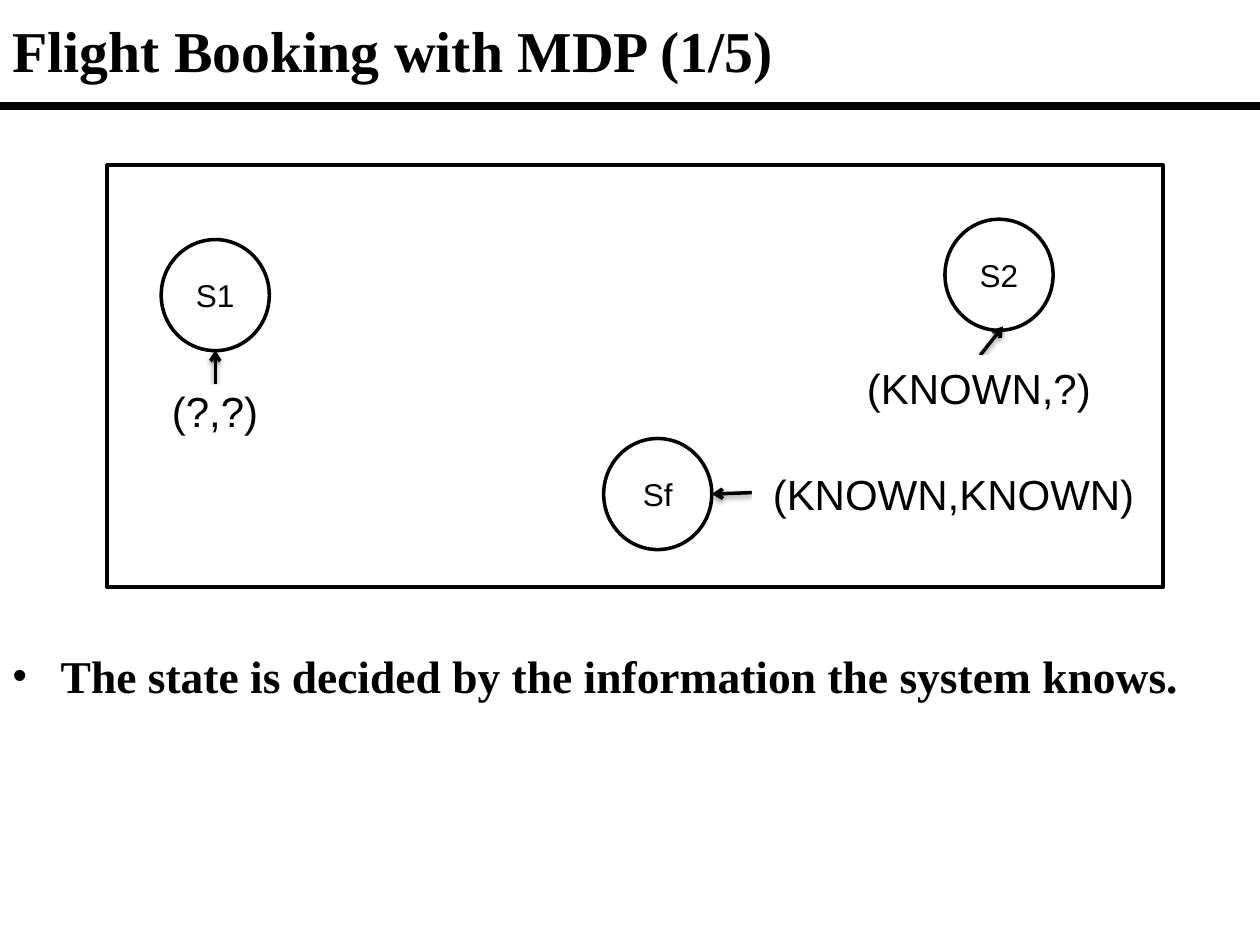
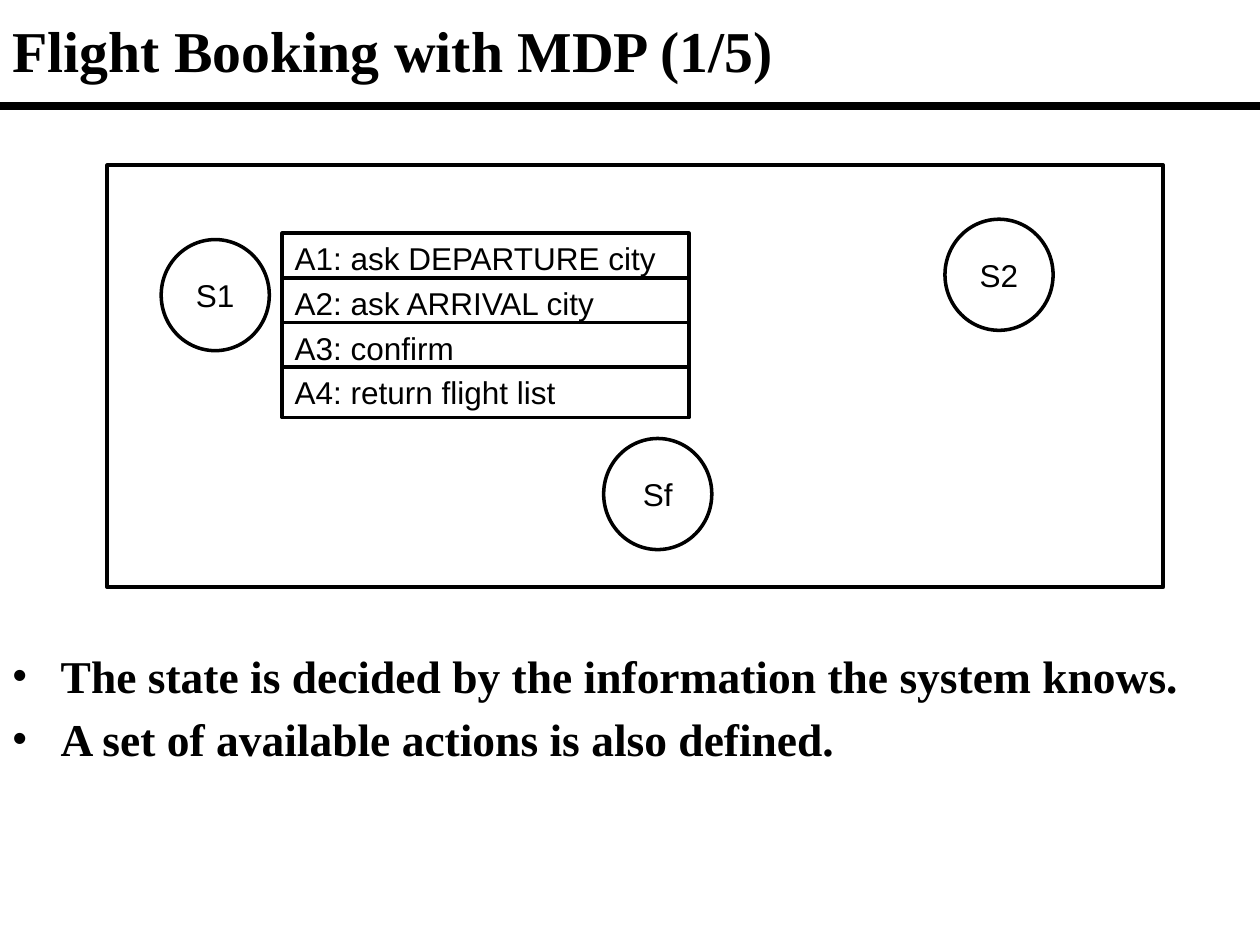
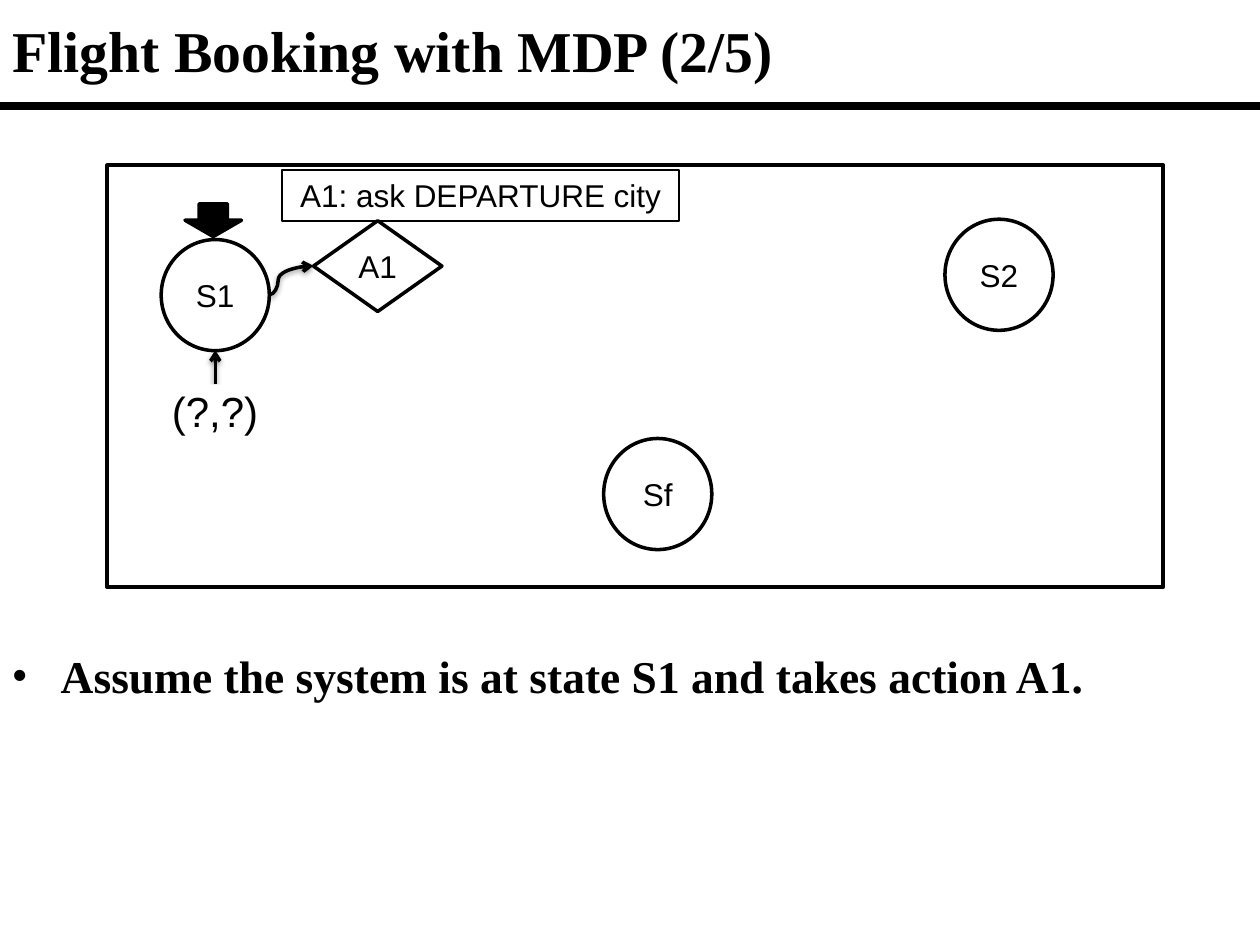
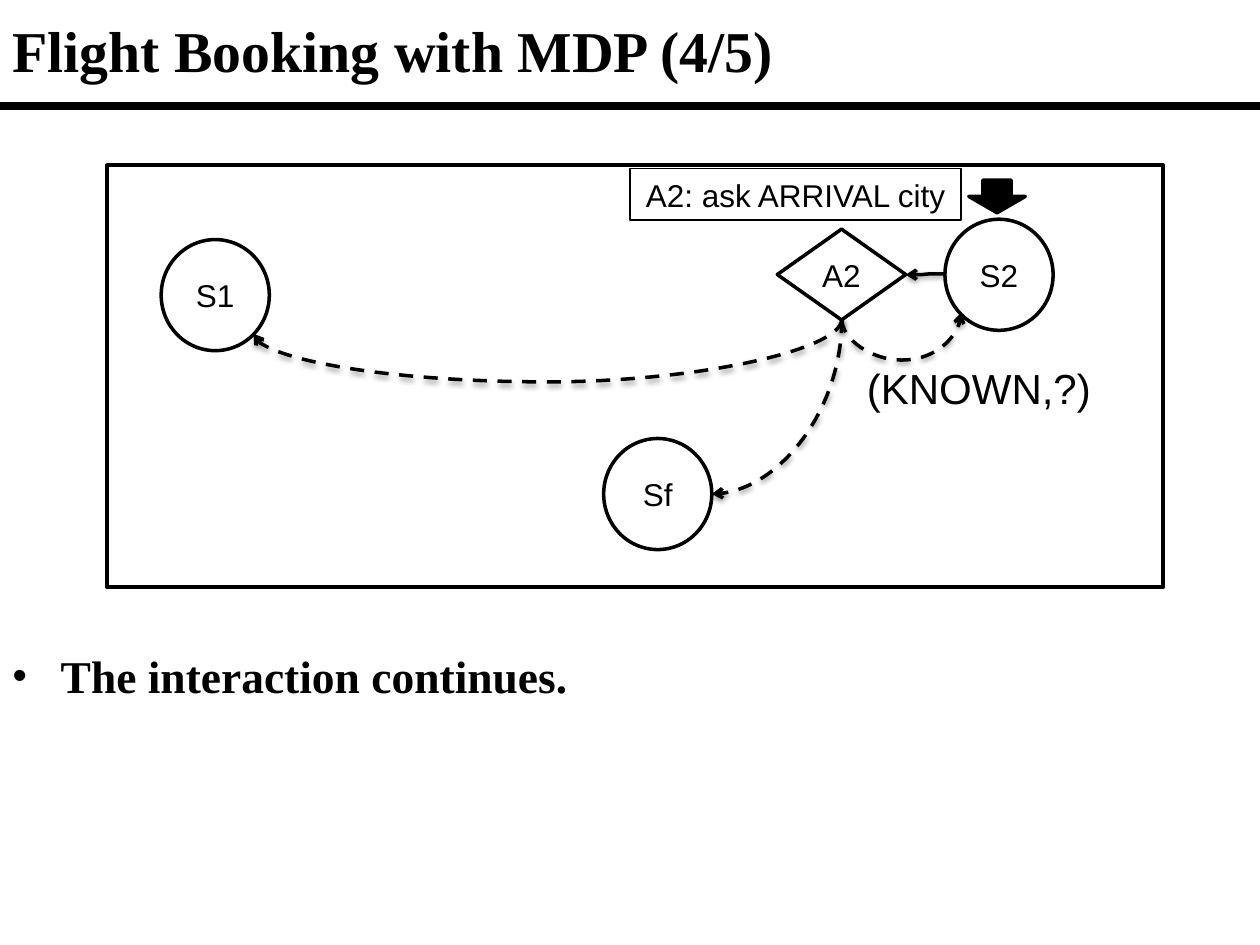
from dataclasses import dataclass, replace
from typing import Optional

import lxml.etree
import pptx
import pptx.dml.color
import pptx.enum.dml
import pptx.enum.shapes
import pptx.enum.text
import pptx.oxml.ns
import pptx.util

Cm = pptx.util.Cm
Pt = pptx.util.Pt
qn = pptx.oxml.ns.qn
ShapeKind = pptx.enum.shapes.MSO_SHAPE
ConnectorKind = pptx.enum.shapes.MSO_CONNECTOR
Align = pptx.enum.text.PP_ALIGN
Anchor = pptx.enum.text.MSO_ANCHOR
AutoSize = pptx.enum.text.MSO_AUTO_SIZE

# Shared style, lengths in centimetres
COLORS = {"ink": "000000", "paper": "FFFFFF"}
FONTS = {"heading": "Times New Roman", "diagram": "Arial"}
SLIDE_WIDTH, SLIDE_HEIGHT = 25.4, 19.05
TITLE_HEIGHT, RULE_TOP, BODY_TOP = 2.0, 2.13, 12.93
BULLET_INDENT = 0.97
CIRCLE_SIZE = (2.18, 2.24)
DIAMOND_SIZE = (2.59, 1.83)
MARKER_SIZE = (1.14, 0.66)

Point = tuple[float, float]


@dataclass(frozen=True)
class Box:
    left: float
    top: float
    width: float
    height: float
    text: str = ""
    kind: int = ShapeKind.RECTANGLE
    fill: str = "paper"
    line: Optional[float] = 2
    size: float = 18
    align: int = Align.CENTER
    grow: bool = False


@dataclass(frozen=True)
class Arrow:
    start: Point
    end: Point
    curved: bool = False
    vertical: bool = False          # a curve that leaves its start vertically
    bend: Optional[float] = None    # x (or y, if vertical) of the middle stretch
    dashed: bool = False


@dataclass(frozen=True)
class Page:
    title: str
    bullets: list[str]
    items: list[Box | Arrow]


def color(name: str) -> pptx.dml.color.RGBColor:
    return pptx.dml.color.RGBColor.from_string(COLORS[name])


def write_text(frame, text: str, *, font: str, size: float, bold: bool = False,
               align: int = Align.LEFT, anchor: int = Anchor.MIDDLE,
               grow: bool = False, bullet: str = "", space_before: float = 0) -> None:
    """Fill a text frame, one paragraph for each line of the text."""
    frame.text = text
    frame.word_wrap = True
    frame.vertical_anchor = anchor
    frame.auto_size = AutoSize.SHAPE_TO_FIT_TEXT if grow else AutoSize.NONE
    for paragraph in frame.paragraphs:
        paragraph.alignment = align
        paragraph.space_before = Pt(space_before)
        for run in paragraph.runs:
            run.font.name = FONTS[font]
            run.font.size = Pt(size)
            run.font.bold = bold
            run.font.color.rgb = color("ink")
        if bullet:
            properties = paragraph._p.get_or_add_pPr()
            properties.set("marL", str(Cm(BULLET_INDENT)))
            properties.set("indent", str(-Cm(BULLET_INDENT)))
            lxml.etree.SubElement(properties, qn("a:buSzPct"), val="90000")
            lxml.etree.SubElement(properties, qn("a:buChar"), char=bullet)


def place(shape, left: float, top: float, width: float, height: float) -> None:
    shape.left, shape.top = Cm(left), Cm(top)
    shape.width, shape.height = Cm(width), Cm(height)


def draw_box(slide, box: Box) -> None:
    shape = slide.shapes.add_shape(
        box.kind, Cm(box.left), Cm(box.top), Cm(box.width), Cm(box.height))
    shape.shadow.inherit = False
    shape.fill.solid()
    shape.fill.fore_color.rgb = color(box.fill)
    if box.line is None:
        shape.line.fill.background()
    else:
        shape.line.color.rgb = color("ink")
        shape.line.width = Pt(box.line)
    if box.text:
        write_text(shape.text_frame, box.text, font="diagram", size=box.size,
                   align=box.align, grow=box.grow)


def draw_line(slide, kind: int, start: Point, end: Point, width: float):
    connector = slide.shapes.add_connector(kind, *map(Cm, start + end))
    connector.line.color.rgb = color("ink")
    connector.line.width = Pt(width)
    effects = lxml.etree.SubElement(connector.element.spPr, qn("a:effectLst"))
    return connector, effects


def draw_arrow(slide, arrow: Arrow) -> None:
    start, end = arrow.start, arrow.end
    if arrow.vertical:
        # Ends before the quarter turn about the centre
        (x0, y0), (x1, y1) = start, end
        center_x, center_y = (x0 + x1) / 2, (y0 + y1) / 2
        half_x, half_y = (y1 - y0) / 2, (x0 - x1) / 2
        start = (center_x - half_x, center_y - half_y)
        end = (center_x + half_x, center_y + half_y)
    kind = ConnectorKind.CURVE if arrow.curved else ConnectorKind.STRAIGHT
    connector, effects = draw_line(slide, kind, start, end, 2)
    properties = connector.element.spPr
    if arrow.vertical:
        properties.find(qn("a:xfrm")).set("rot", "5400000")
    if arrow.curved:
        geometry = properties.find(qn("a:prstGeom"))
        if arrow.bend is None:
            geometry.set("prst", "curvedConnector2")
        else:
            axis = 1 if arrow.vertical else 0
            first, last = arrow.start[axis], arrow.end[axis]
            share = round((arrow.bend - first) / (last - first) * 100000)
            lxml.etree.SubElement(geometry.find(qn("a:avLst")), qn("a:gd"),
                                  name="adj1", fmla=f"val {share}")
    if arrow.dashed:
        connector.line.dash_style = pptx.enum.dml.MSO_LINE.DASH
    lxml.etree.SubElement(properties.find(qn("a:ln")), qn("a:tailEnd"), type="arrow")
    shadow = lxml.etree.SubElement(
        effects, qn("a:outerShdw"), blurRad=str(Pt(3.1)), dist=str(Pt(1.6)),
        dir="5400000", rotWithShape="0")
    shade = lxml.etree.SubElement(shadow, qn("a:srgbClr"), val=COLORS["ink"])
    lxml.etree.SubElement(shade, qn("a:alpha"), val="38000")


def add_master_rule(presentation, slide) -> None:
    """Draw the rule under the titles and move it to the slide master."""
    rule, _ = draw_line(slide, ConnectorKind.STRAIGHT,
                        (0, RULE_TOP), (SLIDE_WIDTH, RULE_TOP), 4.5)
    rule.element.nvCxnSpPr.cNvPr.set("id", "20")
    presentation.slide_master.shapes.element.append(rule.element)


def add_page(presentation, page: Page):
    slide = presentation.slides.add_slide(presentation.slide_layouts[1])
    title, body = slide.shapes.title, slide.placeholders[1]
    place(title, 0, 0, SLIDE_WIDTH, TITLE_HEIGHT)
    write_text(title.text_frame, page.title, font="heading", size=33, bold=True)
    place(body, 0, BODY_TOP, SLIDE_WIDTH, 1.37 + 1.32 * (len(page.bullets) - 1))
    write_text(body.text_frame, "\n".join(page.bullets), font="heading", size=26,
               bold=True, anchor=Anchor.TOP, grow=True, bullet="•", space_before=5.2)
    for item in [FRAME, *STATES, *page.items]:
        if isinstance(item, Box):
            draw_box(slide, item)
        else:
            draw_arrow(slide, item)
    return slide


# Diagram parts
def state(text: str, left: float, top: float) -> Box:
    return Box(left, top, *CIRCLE_SIZE, text, ShapeKind.OVAL)


def action(text: str, left: float, top: float) -> Box:
    return Box(left, top, *DIAMOND_SIZE, text, ShapeKind.DIAMOND)


def marker(left: float, top: float) -> Box:
    return Box(left, top, *MARKER_SIZE, kind=ShapeKind.DOWN_ARROW, fill="ink")


def knowledge(text: str, left: float, top: float, width: float) -> Box:
    return Box(left, top, width, 1.3, text, line=None, size=24, grow=True)


FRAME = Box(2.16, 3.33, 21.29, 8.51)
STATES = [state("S1", 3.25, 4.83), state("Sf", 12.17, 8.84), state("S2", 19.05, 4.42)]

S1_KNOWLEDGE = [
    Arrow((4.34, 7.75), (4.34, 7.06)),
    replace(knowledge("(?,?)", 2.57, 7.75, 3.53), height=1.04, grow=False),
]
S2_KNOWLEDGE = knowledge("(KNOWN,?)", 16.89, 7.16, 5.69)
ACTIONS = ["A1: ask DEPARTURE city", "A2: ask ARRIVAL city",
           "A3: confirm", "A4: return flight list"]
STATE_BULLET = "The state is decided by the information the system knows."
A2_BOTTOM = (16.97, 6.43)

PAGES = [
    Page("Flight Booking with MDP (1/5)", [STATE_BULLET], [
        *S1_KNOWLEDGE,
        Arrow((19.76, 7.16), (20.22, 6.58)),
        S2_KNOWLEDGE,
        Arrow((15.16, 9.93), (14.35, 9.96)),
        knowledge("(KNOWN,KNOWN)", 15.16, 9.3, 8.13),
    ]),
    Page("Flight Booking with MDP (1/5)",
         [STATE_BULLET, "A set of available actions is also defined."],
         [Box(5.69, 4.7 + 0.9 * row, 8.2, 1.02, text, align=Align.LEFT, grow=True)
          for row, text in enumerate(ACTIONS)]),
    Page("Flight Booking with MDP (2/5)",
         ["Assume the system is at state S1 and takes action A1."], [
             Box(5.69, 3.43, 8.0, 1.02, ACTIONS[0], line=1, grow=True),
             action("A1", 6.32, 4.45),
             Arrow((5.44, 5.94), (6.32, 5.36), curved=True, bend=5.61),
             marker(3.73, 4.11),
             *S1_KNOWLEDGE,
         ]),
    Page("Flight Booking with MDP (4/5)", ["The interaction continues."], [
        action("A2", 15.67, 4.62),
        Arrow((19.05, 5.52), (18.26, 5.54), curved=True, bend=18.65),
        marker(19.53, 3.63),
        S2_KNOWLEDGE,
        Box(12.7, 3.4, 6.68, 1.04, ACTIONS[1], line=1, grow=True),
        Arrow(A2_BOTTOM, (19.38, 6.3), True, True, bend=7.26, dashed=True),
        Arrow(A2_BOTTOM, (14.35, 9.96), True, True, dashed=True),
        Arrow(A2_BOTTOM, (5.11, 6.73), True, True, bend=7.7, dashed=True),
    ]),
]


def main() -> None:
    presentation = pptx.Presentation()
    presentation.slide_width, presentation.slide_height = Cm(SLIDE_WIDTH), Cm(SLIDE_HEIGHT)
    slides = [add_page(presentation, page) for page in PAGES]
    add_master_rule(presentation, slides[0])
    presentation.save("out.pptx")


if __name__ == "__main__":
    main()
